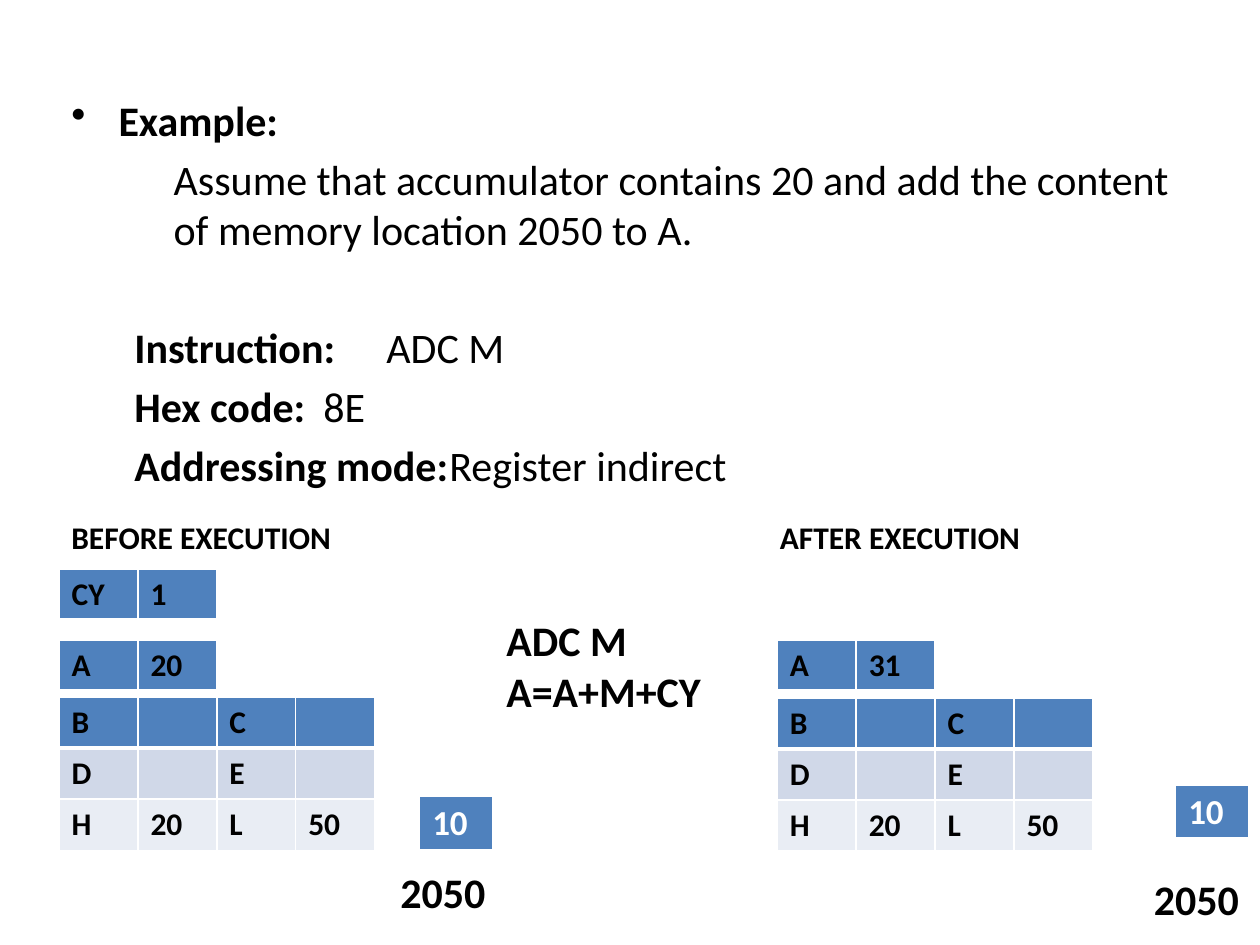
from lxml.etree import SubElement
from pptx import Presentation
from pptx.dml.color import RGBColor as RGB
from pptx.oxml.ns import qn
from pptx.util import Cm, Pt

COLORS = {"text": "000000", "white": "FFFFFF", "head": "4F81BD",
          "band": "D0D8E8", "pale": "E9EDF4"}
ROW_FILLS = ["head", "band", "pale"]


def write(p, text, size=24, bold=True, color="text", font="Calibri"):
    """Add one formatted run to a paragraph."""
    r = p.add_run()
    r.text = text
    r.font.name, r.font.size, r.font.bold = font, Pt(size), bold
    r.font.color.rgb = RGB.from_string(COLORS[color])


def indent(p, left, first=0, before=4.8):
    """Set left margin and first-line indent (cm) and space before (pt)."""
    p.space_before = Pt(before)
    pPr = p._p.get_or_add_pPr()
    pPr.set("marL", str(Cm(left)))
    pPr.set("indent", str(Cm(first)))
    return pPr


def border(cell, side, width):
    ln = SubElement(cell._tc.get_or_add_tcPr(), qn(f"a:ln{side}"), w=str(Pt(width)))
    SubElement(SubElement(ln, qn("a:solidFill")), qn("a:srgbClr"), val=COLORS["white"])


class Deck:
    def __init__(self):
        self.prs = Presentation()
        self.prs.slide_width, self.prs.slide_height = Cm(25.4), Cm(19.05)
        self.s = self.prs.slides.add_slide(self.prs.slide_layouts[6])

    def box(self, x, y, w, h):
        tf = self.s.shapes.add_textbox(Cm(x), Cm(y), Cm(w), Cm(h)).text_frame
        tf.word_wrap = True
        return tf

    def label(self, x, y, w, h, *lines, size=24):
        tf = self.box(x, y, w, h)
        for i, line in enumerate(lines):
            write(tf.add_paragraph() if i else tf.paragraphs[0], line, size=size)

    def table(self, x, y, rows, col_w=1.59, row_h=1.03, **style):
        n, m = len(rows), len(rows[0])
        table = self.s.shapes.add_table(
            n, m, Cm(x), Cm(y), Cm(col_w * m), Cm(row_h * n)).table
        table.first_row = table.horz_banding = False
        for col in table.columns:
            col.width = Cm(col_w)
        for i, row in enumerate(rows):
            table.rows[i].height = Cm(row_h)
            for j, text in enumerate(row):
                cell = table.cell(i, j)
                # A thick rule runs below the first row
                widths = {"L": 1, "R": 1, "T": 3 if i == 1 else 1, "B": 1 if i else 3}
                for side, width in widths.items():
                    border(cell, side, width)
                cell.fill.solid()
                cell.fill.fore_color.rgb = RGB.from_string(COLORS[ROW_FILLS[i]])
                if text:
                    write(cell.text_frame.paragraphs[0], text, **{"size": 18, **style})


def main():
    deck = Deck()

    # Example and instruction details
    tf = deck.box(1.19, 1.78, 23.42, 6.55)
    p = tf.paragraphs[0]
    SubElement(indent(p, 0.95, -0.95), qn("a:buChar"), char="•")
    write(p, "Example:")
    p = tf.add_paragraph()
    indent(p, 2.06)
    write(p, "Assume that accumulator contains 20 and add the content "
             "of memory location 2050 to A.", bold=False)
    details = [("Instruction:", "ADC M", 9.68, 38.8),
               ("Hex code:", "8E", 12.22, 4.8),
               ("Addressing mode:", "Register indirect", 12.42, 4.8)]
    for name, value, stop, before in details:
        p = tf.add_paragraph()
        tabs = SubElement(indent(p, 0, 1.27, before), qn("a:tabLst"))
        SubElement(tabs, qn("a:tab"), pos=str(Cm(stop)), algn="l")
        write(p, name)
        write(p, "\t" + value, bold=False)

    # Headings and operation
    deck.label(1.19, 10.31, 5.9, 1.02, "BEFORE EXECUTION", size=18)
    deck.label(15.47, 10.31, 5.7, 1.02, "AFTER EXECUTION", size=18)
    deck.label(9.96, 12.27, 4.88, 2.31, "ADC M", "A=A+M+CY")

    # Registers before and after
    deck.table(1.19, 11.48, [["CY", "1"]])
    registers = [["B", "", "C", ""], ["D", "", "E", ""], ["H", "20", "L", "50"]]
    for x, y, accumulator in [(1.19, 14.05, "20"), (15.67, 14.07, "31")]:
        deck.table(x, 12.9, [["A", accumulator]])
        deck.table(x, y, registers)

    # Memory cell with its address
    for x, y, label_x, label_y in [(8.46, 16.05, 7.82, 17.35),
                                   (23.7, 15.82, 23.01, 17.48)]:
        deck.table(x, y, [["10"]], col_w=1.47, row_h=1.08, size=20, color="white")
        deck.label(label_x, label_y, 2.38, 1.27, "2050")

    deck.prs.save("out.pptx")


if __name__ == "__main__":
    main()
